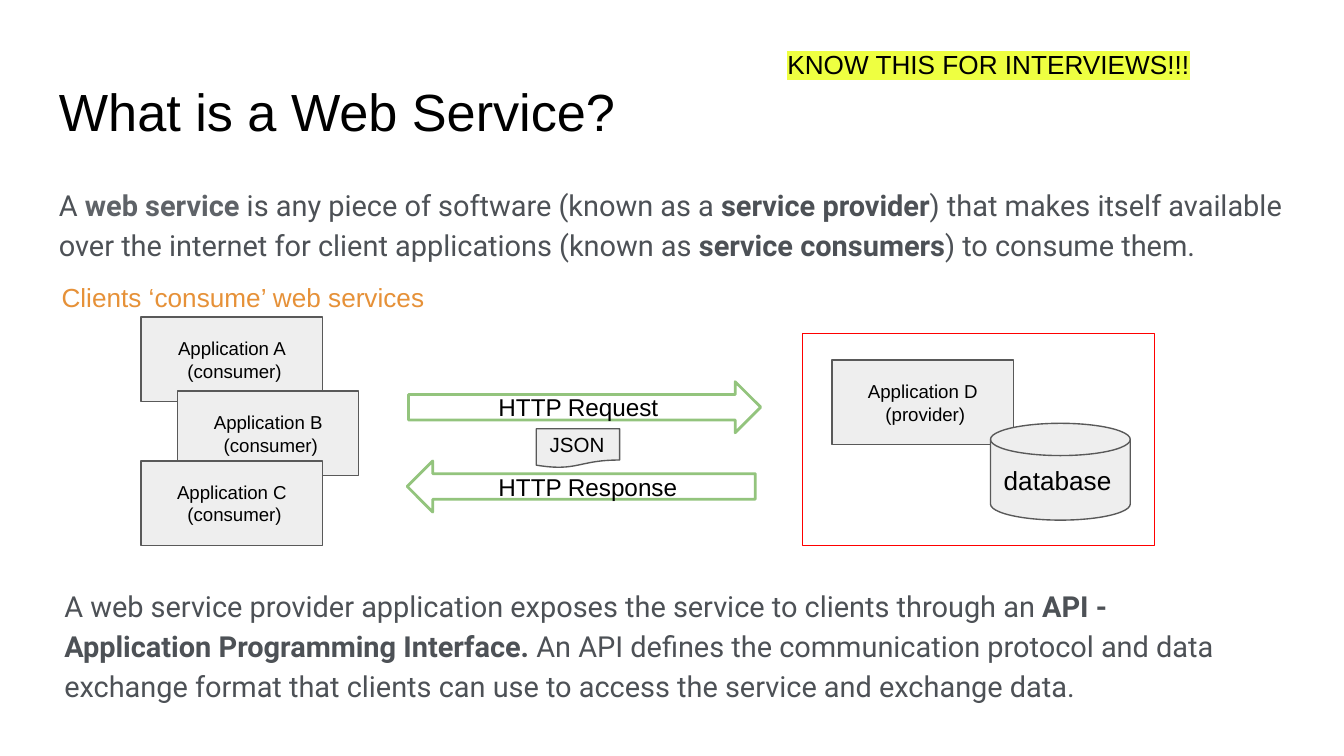
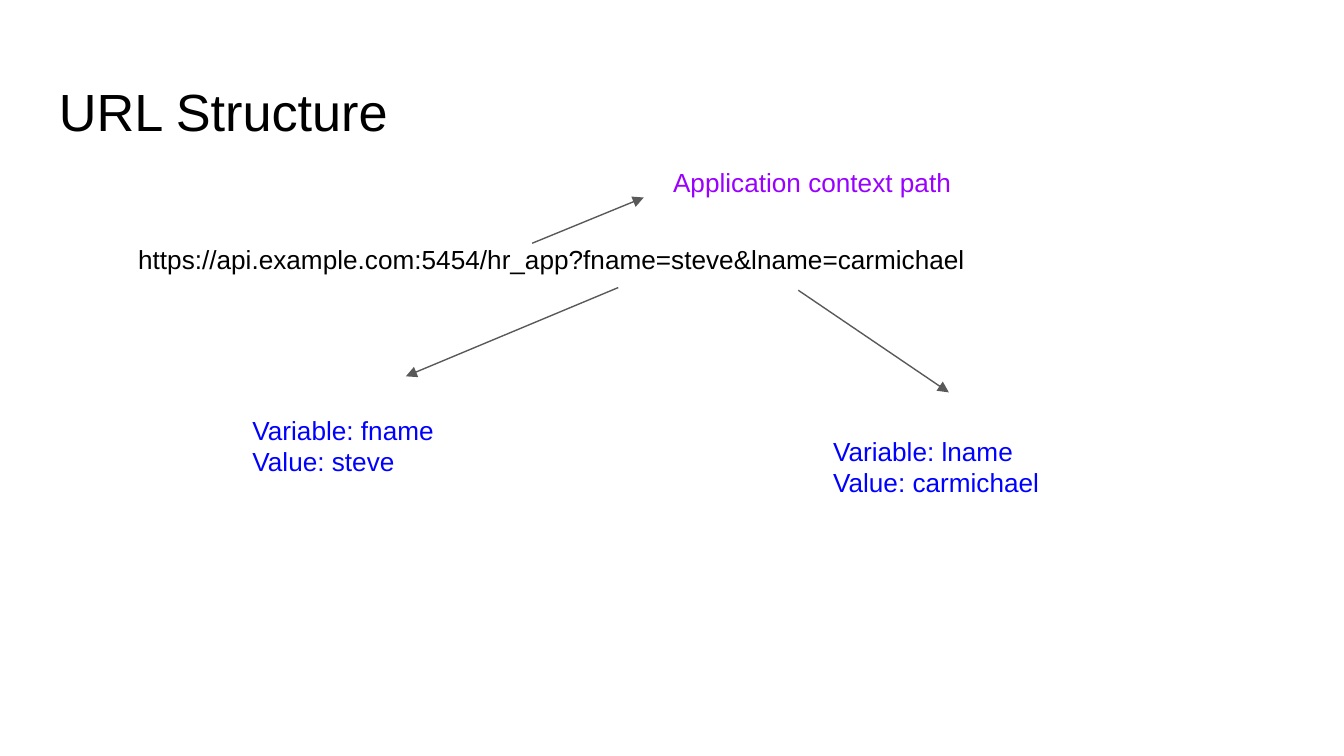
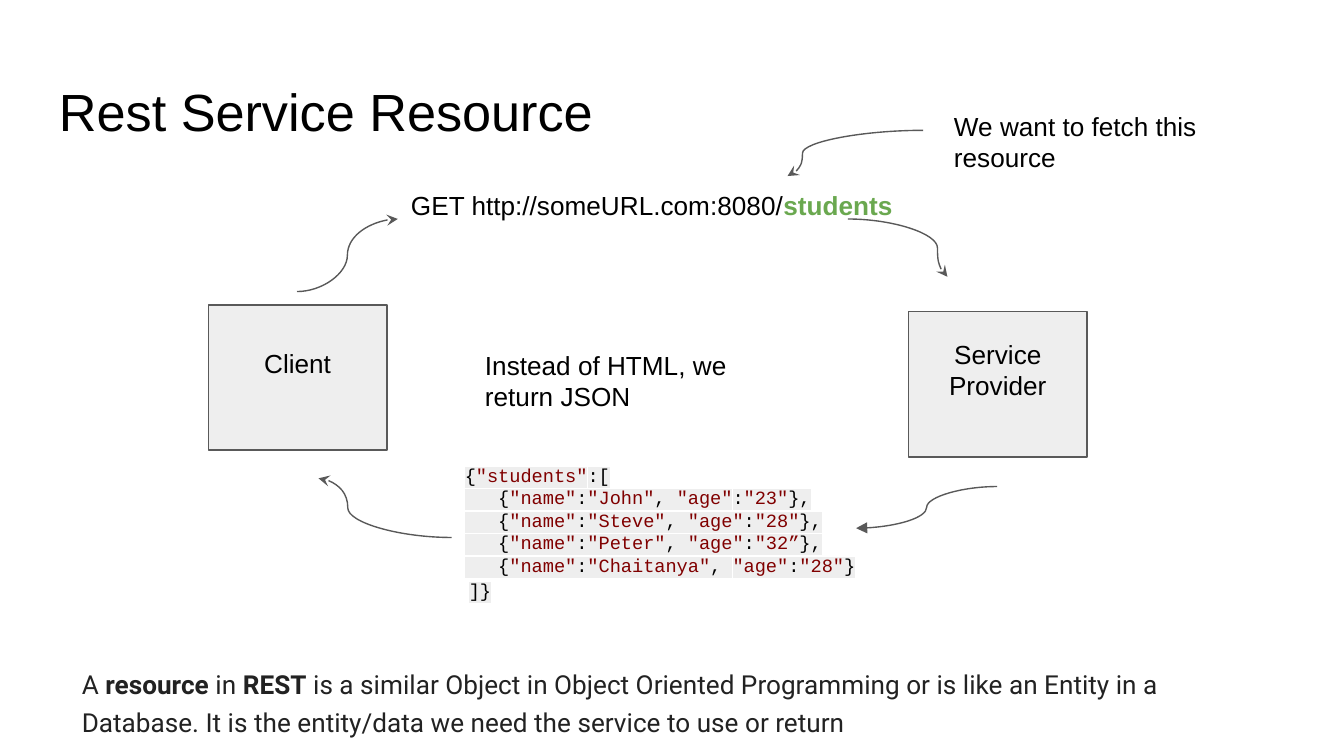
import pptx
import pptx.util
import pptx.dml.color
import pptx.enum.shapes
import pptx.enum.text
import pptx.oxml.ns
from lxml import etree

Inches = pptx.util.Inches
Pt = pptx.util.Pt
RGBColor = pptx.dml.color.RGBColor
SHAPE = pptx.enum.shapes.MSO_SHAPE
LINK = pptx.enum.shapes.MSO_CONNECTOR
ALIGN = pptx.enum.text.PP_ALIGN
ANCHOR = pptx.enum.text.MSO_ANCHOR
qn = pptx.oxml.ns.qn

BLACK = RGBColor(0x00, 0x00, 0x00)
BODY = RGBColor(0x4D, 0x51, 0x56)
TERM = RGBColor(0x5F, 0x63, 0x68)
CHARCOAL = RGBColor(0x22, 0x22, 0x22)
PALE = RGBColor(0xEE, 0xEE, 0xEE)
EDGE = RGBColor(0x59, 0x59, 0x59)
RED = RGBColor(0xFF, 0x00, 0x00)
ARROW_GREEN = RGBColor(0x93, 0xC4, 0x7D)
GREEN = RGBColor(0x6A, 0xA8, 0x4F)
ORANGE = RGBColor(0xE6, 0x91, 0x38)
YELLOW = RGBColor(0xEE, 0xFF, 0x41)
BLUE = RGBColor(0x00, 0x00, 0xFF)
PURPLE = RGBColor(0x99, 0x00, 0xFF)
MAROON = RGBColor(0x80, 0x00, 0x00)

INSET = 0.1
BOX_W, BOX_H = 1.35, 0.63


def add_run(p, text, bold=None, color=None, highlight=None):
    r = p.add_run()
    r.text = text
    if bold:
        r.font.bold = True
    if color is not None:
        r.font.color.rgb = color
    if highlight is not None:
        mark = etree.SubElement(r.font._element, qn("a:highlight"))
        etree.SubElement(mark, qn("a:srgbClr"), val=str(highlight))


def write(tf, paragraphs, size=14, color=BLACK, name="Arial", align=ALIGN.LEFT,
          spacing=None, highlight=None):
    tf.word_wrap = True
    tf.margin_left = tf.margin_right = Inches(INSET)
    tf.margin_top = tf.margin_bottom = Inches(INSET)
    for i, runs in enumerate(paragraphs):
        p = tf.add_paragraph() if i else tf.paragraphs[0]
        p.alignment = align
        if spacing:
            p.line_spacing = spacing
        p.font.size = Pt(size)
        p.font.name = name
        p.font.color.rgb = color
        for run in [runs] if isinstance(runs, str) else runs:
            text, bold, tint = (run, None, None) if isinstance(run, str) else run
            for j, line in enumerate(text.split("\n")):
                if j:
                    p.add_line_break()
                add_run(p, line, bold, tint, highlight)
    return tf


def add_text(s, x, y, w, h, paragraphs, **style):
    tb = s.shapes.add_textbox(Inches(x), Inches(y), Inches(w), Inches(h))
    return write(tb.text_frame, paragraphs, **style)


def add_shape(s, kind, x, y, w, h, text=None, fill=PALE, line=EDGE, weight=0.75, **style):
    sp = s.shapes.add_shape(kind, Inches(x), Inches(y), Inches(w), Inches(h))
    sp.shadow.inherit = False
    if fill is None:
        sp.fill.background()
    else:
        sp.fill.solid()
        sp.fill.fore_color.rgb = fill
    sp.line.color.rgb = line
    sp.line.width = Pt(weight)
    if text:
        write(sp.text_frame, [text], **style)
        sp.text_frame.vertical_anchor = ANCHOR.MIDDLE
    return sp


def add_arrow(s, start, end, head="triangle", bend=None):
    kind = LINK.STRAIGHT if bend is None else LINK.CURVE
    c = s.shapes.add_connector(kind, *(Inches(v) for v in (*start, *end)))
    c.line.color.rgb = EDGE
    c.line.width = Pt(0.75)
    props = c._element.spPr
    etree.SubElement(props.find(qn("a:ln")), qn("a:tailEnd"), type=head)
    etree.SubElement(props, qn("a:effectLst"))
    if bend is not None:
        guides = props.find(qn("a:prstGeom")).find(qn("a:avLst"))
        etree.SubElement(guides, qn("a:gd"), name="adj1", fmla=f"val {round(bend * 100000)}")


def add_slide(prs, title):
    s = prs.slides.add_slide(prs.slide_layouts[6])
    add_text(s, 0.34, 0.49, 9.32, BOX_H, [title], size=28)
    return s


def application(s, x, y, letter, role):
    add_shape(s, SHAPE.RECTANGLE, x, y, BOX_W, BOX_H, f"Application {letter}\n ({role})",
              size=10, align=ALIGN.CENTER)


def consumers(s, x, y):
    for letter, dx, dy in (("A", 0, 0), ("B", 0.27, 0.55), ("C", 0, 1.07)):
        application(s, x + dx, y + dy, letter, "consumer")


def provider(s, x, y, w, h):
    add_shape(s, SHAPE.RECTANGLE, x, y, w, h, fill=None, line=RED)
    application(s, x + 0.22, y + 0.2, "D", "provider")
    add_shape(s, SHAPE.FLOWCHART_MAGNETIC_DISK, x + 1.4, y + 0.67, 1.04, 0.72, "database")


def exchange(s, x, y):
    for kind, dx, dy, w, text in ((SHAPE.RIGHT_ARROW, 0.01, 0, 2.62, "HTTP Request"),
                                  (SHAPE.LEFT_ARROW, 0, 0.59, 2.59, "HTTP Response")):
        add_shape(s, kind, x + dx, y + dy, w, 0.38, text, fill=None, line=ARROW_GREEN,
                  weight=1.5, size=13, align=ALIGN.CENTER)
    add_shape(s, SHAPE.FLOWCHART_DOCUMENT, x + 0.96, y + 0.35, 0.62, 0.29, "JSON", size=11)


def web_service_slide(prs):
    s = add_slide(prs, "What is a Web Service?")
    prose = dict(size=15.5, color=BODY, name="Roboto", spacing=1.15)
    add_text(s, 0.34, 1.26, 9.32, 0.83, [[
        "A ", ("web service", True, TERM), " is any piece of software (known as a ",
        ("service provider", True, None),
        ") that makes itself available over the internet for client applications (known as ",
        ("service consumers", True, None), ") to consume them."]], **prose)
    add_text(s, 0.38, 4.24, 8.99, 1.04, [[
        "A web service provider application exposes the service to clients through an ",
        ("API - Application Programming Interface. ", True, None),
        "An API defines the communication protocol and data exchange format that clients "
        "can use to access the service and exchange data."]], **prose)
    consumers(s, 1.05, 2.36)
    provider(s, 5.97, 2.48, 2.62, 1.58)
    exchange(s, 3.03, 2.84)
    add_text(s, 0.36, 1.99, 3.27, 0.22, ["Clients ‘consume’ web services"], color=ORANGE)
    add_text(s, 5.76, 0.26, 3.22, 0.44, ["KNOW THIS FOR INTERVIEWS!!!"], highlight=YELLOW)


def url_slide(prs):
    s = add_slide(prs, "URL Structure")
    add_text(s, 0.93, 1.71, 7.34, 0.44,
             ["https://api.example.com:5454/hr_app?fname=steve&lname=carmichael"])
    add_text(s, 4.91, 1.14, 2.96, 0.44, ["Application context path"], color=PURPLE)
    for x, y, variable, value in ((1.78, 2.98, "fname", "steve"),
                                  (6.1, 3.14, "lname", "carmichael")):
        add_text(s, x, y, 2.07, 0.67, [f"Variable: {variable}", f"Value: {value}"], color=BLUE)
    for start, end in (((4.6, 2.14), (3.02, 2.8)),
                       ((5.94, 2.16), (7.06, 2.92)),
                       ((3.96, 1.81), (4.79, 1.47))):
        add_arrow(s, start, end)


def student_row(name, age, close="},"):
    def quoted(text):
        return text, None, MAROON
    return ["   {", quoted('"name"'), ":", quoted(f'"{name}"'), ", ",
            quoted('"age"'), ":", quoted(age), close]


def json_listing(s, x, y, w, h):
    lines = [["{", ('"students"', None, MAROON), ":["],
             student_row("John", '"23"'),
             student_row("Steve", '"28"'),
             student_row("Peter", '"32”'),
             student_row("Chaitanya", '"28"', "}"),
             "]}"]
    tf = add_text(s, x, y, w, h, lines, size=10, name="Courier New", highlight=PALE)
    last = tf.paragraphs[-1]
    last.line_spacing = 1.15
    last._p.get_or_add_pPr().set("marL", str(Inches(0.03)))


def endpoint(s, x, y, text):
    sp = add_shape(s, SHAPE.RECTANGLE, x, y, 1.33, 1.08, text, align=ALIGN.CENTER)
    sp.text_frame.margin_bottom = Inches(INSET + 0.22)


def resource_slide(prs):
    s = add_slide(prs, "Rest Service Resource")
    endpoint(s, 6.76, 2.32, "Service Provider")
    endpoint(s, 1.55, 2.27, "Client")
    add_text(s, 2.96, 1.31, 4.36, 0.39,
             [["GET http://someURL.com:8080/", ("students", True, GREEN)]])
    json_listing(s, 3.36, 3.35, 3.28, 1.3)
    add_text(s, 7, 0.72, 2.27, 0.39, ["We want to fetch this resource"])
    add_text(s, 3.51, 2.5, 2.51, 0.54, ["Instead of HTML, we return JSON"])
    for start, end, head, bend in (((6.87, 0.97), (5.86, 1.31), "stealth", 0.89),
                                   ((2.21, 2.17), (2.96, 1.63), "stealth", 0.5),
                                   ((6.31, 1.63), (7.05, 2.06), "stealth", 0.9),
                                   ((7.42, 3.62), (6.37, 3.93), "triangle", 0.5),
                                   ((3.36, 4), (2.37, 3.56), "stealth", 0.78)):
        add_arrow(s, start, end, head, bend)
    add_text(s, 0.51, 4.83, 8.98, 0.54, [[
        "A ", ("resource", True, None), " in ", ("REST", True, None),
        " is a similar Object in Object Oriented Programming or is like an Entity in a "
        "Database. It is the entity/data we need the service to use or return"]],
        color=CHARCOAL, name="Roboto", spacing=1.2)


def main():
    prs = pptx.Presentation()
    prs.slide_width = Inches(10)
    prs.slide_height = prs.slide_width * 9 // 16
    web_service_slide(prs)
    url_slide(prs)
    resource_slide(prs)
    prs.save("out.pptx")


if __name__ == "__main__":
    main()
